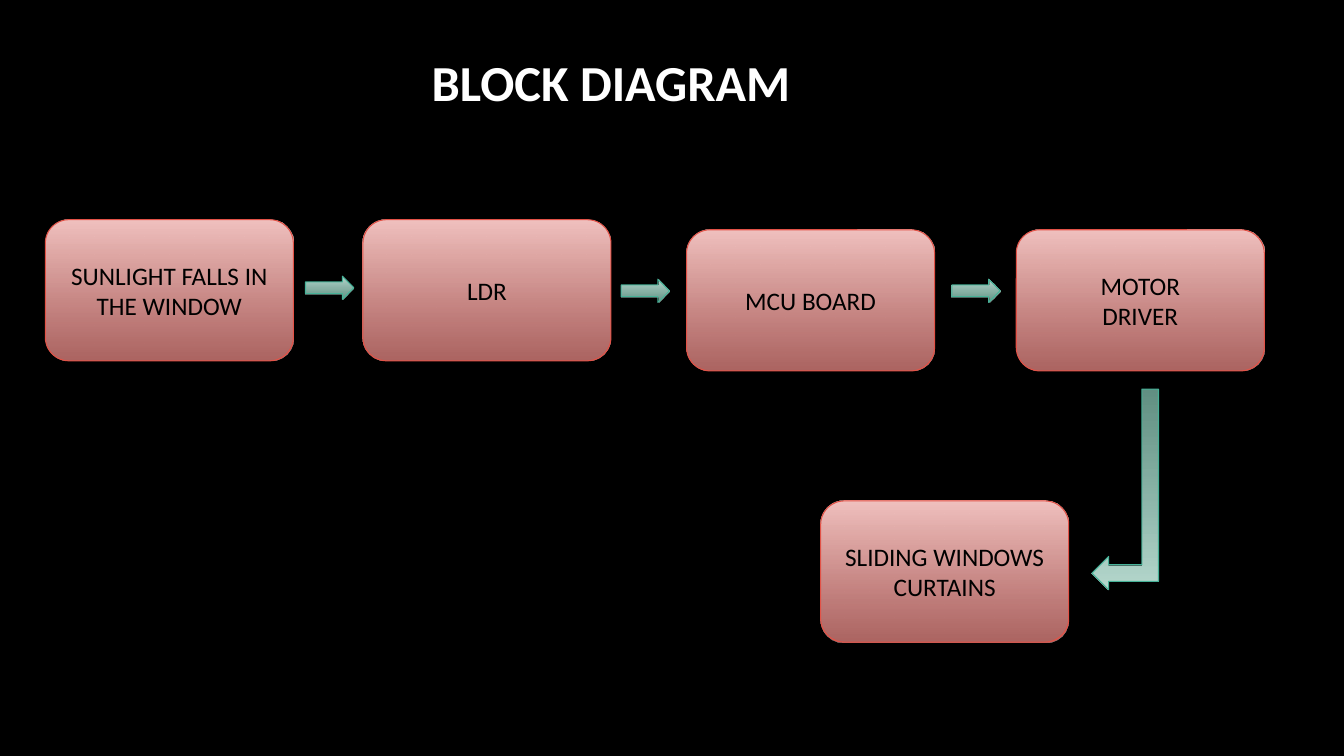
from dataclasses import dataclass

from lxml import etree
from pptx import Presentation
from pptx.dml.color import RGBColor
from pptx.enum.shapes import MSO_SHAPE
from pptx.enum.text import MSO_ANCHOR, MSO_AUTO_SIZE, PP_ALIGN
from pptx.oxml.ns import qn
from pptx.util import Inches, Pt

ROUND_RECT = MSO_SHAPE.ROUNDED_RECTANGLE
RIGHT_ARROW = MSO_SHAPE.RIGHT_ARROW
BENT_ARROW = MSO_SHAPE.BENT_ARROW
CENTER = PP_ALIGN.CENTER
MIDDLE = MSO_ANCHOR.MIDDLE
FIT_SHAPE = MSO_AUTO_SIZE.SHAPE_TO_FIT_TEXT


@dataclass(frozen=True)
class Theme:
    background: str = "000000"
    title: str = "FFFFFF"
    label: str = "000000"
    block: tuple = ("F2C2C0", "E88985", "E25247")  # top, bottom, outline
    arrow: tuple = ("B7DACF", "85C3B1", "46B298")
    end_alpha: int = 74
    font: str = "Calibri"
    title_size: int = 36
    label_size: int = 18
    line_width: float = 0.75


THEME = Theme()
BLOCK_SIZE = (2.46, 1.4)
ARROW_SIZE = (0.48, 0.23)

# Offsets from the top left corner of the diagram
BLOCKS = [
    (0, 0, "SUNLIGHT FALLS IN THE WINDOW"),
    (3.15, 0, "LDR"),
    (6.36, 0.1, "MCU BOARD"),
    (9.63, 0.1, "MOTOR\nDRIVER"),
    (7.69, 2.79, "SLIDING WINDOWS CURTAINS"),
]
ARROWS = [(2.58, 0.56), (5.71, 0.59), (8.99, 0.59)]


def add_text(tf, text, size, color, bold=False):
    tf.word_wrap = True
    for i, line in enumerate(text.split("\n")):
        p = tf.paragraphs[0] if i == 0 else tf.add_paragraph()
        p.alignment = CENTER
        r = p.add_run()
        r.text = line
        r.font.name = THEME.font
        r.font.size = Pt(size)
        r.font.bold = bold
        r.font.color.rgb = RGBColor.from_string(color)


def add_gradient_shape(shapes, kind, box, colors):
    sp = shapes.add_shape(kind, *map(Inches, box))
    sp.shadow.inherit = False
    top, bottom, outline = colors
    sp.fill.gradient()
    sp.fill.gradient_angle = 270
    for stop, color, position in zip(sp.fill.gradient_stops, (top, bottom), (0, 1)):
        stop.color.rgb = RGBColor.from_string(color)
        stop.position = position
    # The last stop is partly transparent
    last = sp.element.spPr.findall(".//" + qn("a:gs") + "/" + qn("a:srgbClr"))[-1]
    etree.SubElement(last, qn("a:alpha")).set("val", str(THEME.end_alpha * 1000))
    sp.line.color.rgb = RGBColor.from_string(outline)
    sp.line.width = Pt(THEME.line_width)
    return sp


def add_title(s, x, y, w, h):
    tf = s.shapes.add_textbox(*map(Inches, (x, y, w, h))).text_frame
    add_text(tf, "BLOCK DIAGRAM", THEME.title_size, THEME.title, bold=True)
    tf.auto_size = FIT_SHAPE


def add_diagram(s, x, y):
    shapes = s.shapes.add_group_shape().shapes

    # Blocks
    for dx, dy, label in BLOCKS:
        sp = add_gradient_shape(shapes, ROUND_RECT, (x + dx, y + dy, *BLOCK_SIZE), THEME.block)
        sp.text_frame.vertical_anchor = MIDDLE
        add_text(sp.text_frame, label, THEME.label_size, THEME.label)

    # Arrows along the top row
    for dx, dy in ARROWS:
        add_gradient_shape(shapes, RIGHT_ARROW, (x + dx, y + dy, *ARROW_SIZE), THEME.arrow)

    # Arrow from the motor driver down to the curtains
    bend = add_gradient_shape(shapes, BENT_ARROW, (x + 10.38, y + 1.68, 0.66, 1.99), THEME.arrow)
    bend.rotation = 180
    for i, value in enumerate((0.25, 0.25, 0.25, 0)):
        bend.adjustments[i] = value


def main():
    prs = Presentation()
    prs.slide_width, prs.slide_height = Inches(13.33), Inches(7.5)
    s = prs.slides.add_slide(prs.slide_layouts[6])
    s.background.fill.solid()
    s.background.fill.fore_color.rgb = RGBColor.from_string(THEME.background)
    add_diagram(s, 0.45, 2.18)
    add_title(s, 3.9, 0.46, 4.32, 0.71)
    prs.save("out.pptx")


if __name__ == "__main__":
    main()
